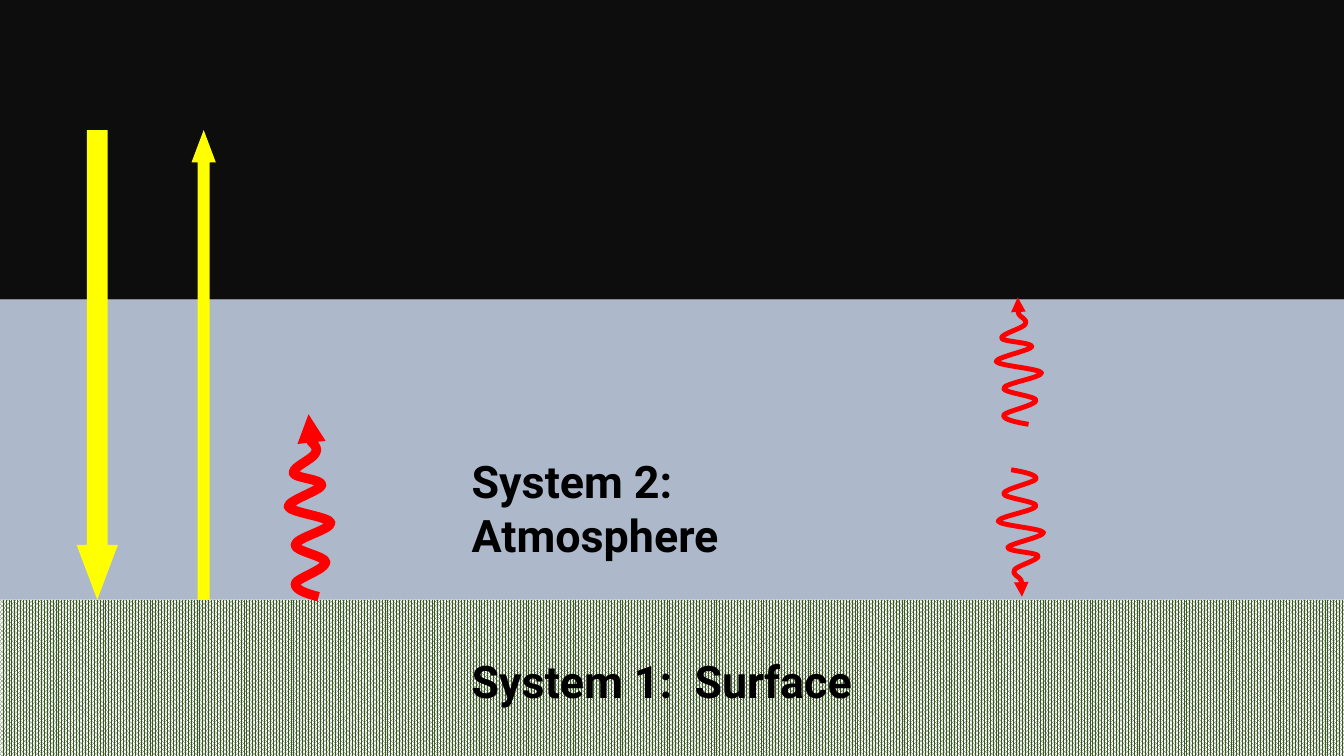
from lxml import etree
from pptx import Presentation
from pptx.dml.color import RGBColor
from pptx.enum.dml import MSO_PATTERN
from pptx.enum.shapes import MSO_SHAPE
from pptx.enum.text import MSO_AUTO_SIZE
from pptx.oxml.ns import qn
from pptx.util import Inches, Pt

RECTANGLE = MSO_SHAPE.RECTANGLE
DOWN_ARROW = MSO_SHAPE.DOWN_ARROW
DENSE_DOTS = MSO_PATTERN.PERCENT_80
FIT_TEXT = MSO_AUTO_SIZE.SHAPE_TO_FIT_TEXT

WHITE = RGBColor(0xFF, 0xFF, 0xFF)
BLACK = RGBColor(0x00, 0x00, 0x00)
SPACE_BLACK = RGBColor(0x0D, 0x0D, 0x0D)
AIR_BLUE = RGBColor(0xAD, 0xB9, 0xCA)
GROUND_GREEN = RGBColor(0x38, 0x57, 0x23)
SOLAR_YELLOW = RGBColor(0xFF, 0xFF, 0x00)
INFRARED_RED = RGBColor(0xFF, 0x00, 0x00)

# Upward wave in hundredths of an inch: a start, then three points per Bezier curve
WAVE_START = (30, 180)
WAVE_CURVES = [
    (18, 177), (6, 173), (7, 167),
    (8, 162), (37, 153), (37, 146),
    (37, 140), (6, 135), (7, 129),
    (7, 122), (42, 114), (42, 107),
    (40, 101), (2, 97), (0, 91),
    (0, 85), (32, 75), (33, 70),
    (34, 64), (6, 63), (5, 58),
    (4, 52), (25, 44), (27, 38),
    (30, 32), (22, 28), (21, 24),
    (20, 19), (21, 13), (21, 9),
    (21, 5), (20, 2), (20, 0),
]


def add_plain_shape(preset, left, top, width, height, color):
    shape = slide.shapes.add_shape(
        preset, Inches(left), Inches(top), Inches(width), Inches(height))
    shape.shadow.inherit = False
    shape.line.fill.background()
    shape.fill.solid()
    shape.fill.fore_color.rgb = color
    return shape


def add_wave(left, top, width, height, weight, rotation):
    """Draw the wavy radiation arrow, turning line segments into Bezier curves."""
    builder = slide.shapes.build_freeform(*WAVE_START, scale=Inches(0.01))
    builder.add_line_segments(WAVE_CURVES, close=False)
    wave = builder.convert_to_shape()
    segments = list(wave._element.iter(qn("a:lnTo")))
    for first in range(0, len(segments), 3):
        curve = etree.Element(qn("a:cubicBezTo"))
        segments[first].addprevious(curve)
        for segment in segments[first:first + 3]:
            curve.append(segment[0])
            segment.getparent().remove(segment)
    wave.left, wave.top = Inches(left), Inches(top)
    wave.width, wave.height = Inches(width), Inches(height)
    wave.rotation = rotation
    wave.shadow.inherit = False
    wave.fill.background()
    wave.line.color.rgb = INFRARED_RED
    wave.line.width = Pt(weight)
    etree.SubElement(wave.line._get_or_add_ln(), qn("a:tailEnd"), type="triangle")


prs = Presentation()
prs.slide_width, prs.slide_height = Inches(13.33), Inches(7.5)
slide = prs.slides.add_slide(prs.slide_layouts[6])

# Layers: surface, atmosphere, space
surface = add_plain_shape(RECTANGLE, 0, 5.95, 13.33, 1.55, GROUND_GREEN)
surface.fill.patterned()
surface.fill.pattern = DENSE_DOTS
surface.fill.fore_color.rgb = GROUND_GREEN
surface.fill.back_color.rgb = WHITE
add_plain_shape(RECTANGLE, 0, 2.97, 13.33, 2.98, AIR_BLUE)
add_plain_shape(RECTANGLE, 0, 0, 13.33, 2.97, SPACE_BLACK)

# Incoming and reflected sunlight
for left, width, rotation in [(0.76, 0.41, 0), (1.9, 0.24, 180)]:
    sunlight = add_plain_shape(DOWN_ARROW, left, 1.29, width, 4.66, SOLAR_YELLOW)
    sunlight.adjustments[0] = 0.5
    sunlight.adjustments[1] = 1.33
    sunlight.rotation = rotation

for top, system in [(4.45, "System 2:  Atmosphere"), (6.44, "System 1:  Surface")]:
    label = slide.shapes.add_textbox(
        Inches(4.58), Inches(top), Inches(4.84), Inches(0.64))
    frame = label.text_frame
    frame.word_wrap = True
    frame.auto_size = FIT_TEXT
    frame.text = system
    font = frame.paragraphs[0].font
    font.name, font.size, font.bold = "Roboto", Pt(32), True
    font.color.rgb = BLACK

# Infrared from the surface, then from the atmosphere downward and upward
add_wave(2.86, 4.11, 0.42, 1.81, 6.75, 0)
add_wave(9.9, 4.66, 0.45, 1.26, 3.5, 180)
add_wave(9.88, 2.95, 0.45, 1.26, 3.5, 0)

prs.save("out.pptx")
